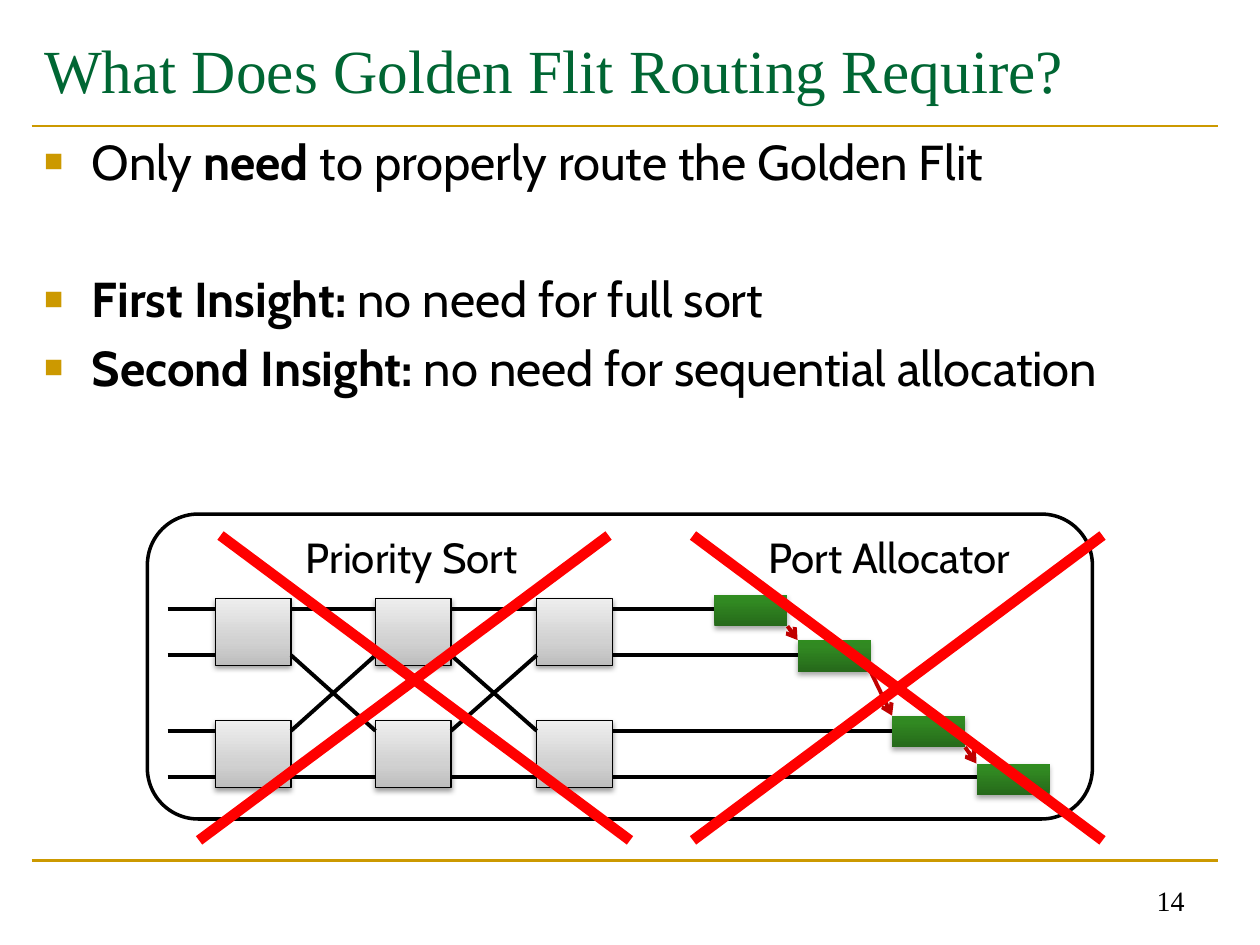
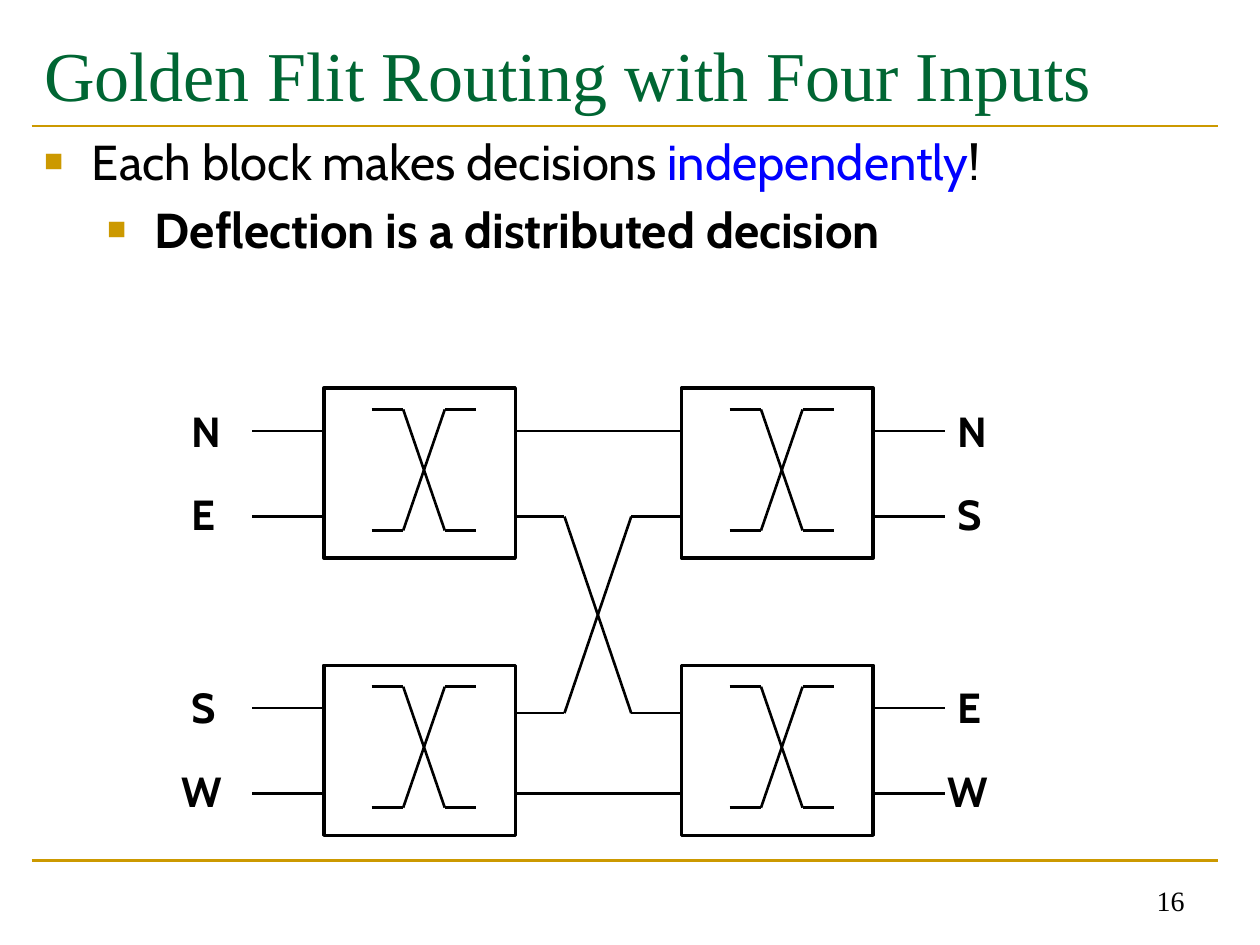
from copy import deepcopy
from itertools import pairwise, product
from typing import NamedTuple

from lxml import etree
from pptx import Presentation
from pptx import util as u
from pptx.dml.color import RGBColor
from pptx.enum import shapes, text
from pptx.oxml import ns

PX = 9144
COLORS = {
    "ink": "000000",
    "paper": "FFFFFF",
    "title": "006633",
    "gold": "CC9900",
    "accent": "0000FF",
    "arrow": "C00000",
    "cross": "FF0000",
}
TITLE_FONT = "Times New Roman"
BODY_FONT = "Cabin"


class Rect(NamedTuple):
    left: int
    top: int
    width: int
    height: int


class Span(NamedTuple):
    text: str
    bold: bool = False
    color: str = "ink"


class Bullet(NamedTuple):
    spans: list[Span]
    level: int = 0
    space_before: float = 5.5


class Finish(NamedTuple):
    stops: list[tuple[float, str]]
    outline: float
    shadow_alpha: int
    shadow_distance: float


class Port(NamedTuple):
    lane: int
    label_top: int
    source: str
    target: str


CELL = Finish([(0, "BDBDBD"), (0.35, "D1D1D1"), (1, "EEEEEE")], 0.75, 38, 1.6)
ALLOCATOR = Finish([(0, "26691A"), (0.8, "318922"), (1, "308C20")], 0, 35, 1.8)


def rgb(name: str) -> RGBColor:
    return RGBColor.from_string(COLORS[name])


def emu(rect: Rect) -> list[int]:
    return [value * PX for value in rect]


def style(font, face: str, size: float, color: str = "ink", bold: bool = False) -> None:
    font.name, font.size, font.bold = face, u.Pt(size), bold
    font.color.rgb = rgb(color)


def add_child(parent, tag: str, **attributes):
    return etree.SubElement(parent, ns.qn(tag), **attributes)


def add_line(page, start: tuple, end: tuple, width: float = 1.5,
             color: str = "ink", arrow: bool = False) -> None:
    points = [value * PX for value in (*start, *end)]
    line = page.shapes.add_connector(shapes.MSO_CONNECTOR.STRAIGHT, *points)
    line.line.width = u.Pt(width)
    line.line.color.rgb = rgb(color)
    if arrow:
        add_child(line.line._get_or_add_ln(), "a:tailEnd", type="arrow")
    add_child(line._element.spPr, "a:effectLst")


def add_frame(page, rect: Rect, kind=shapes.MSO_SHAPE.RECTANGLE) -> None:
    frame = page.shapes.add_shape(kind, *emu(rect))
    frame.shadow.inherit = False
    frame.fill.solid()
    frame.fill.fore_color.rgb = rgb("paper")
    frame.line.color.rgb = rgb("ink")
    frame.line.width = u.Pt(2)


def add_glossy(page, rect: Rect, finish: Finish) -> None:
    block = page.shapes.add_shape(shapes.MSO_SHAPE.RECTANGLE, *emu(rect))
    block.fill.gradient()
    block.fill.gradient_angle = 90
    stop_list = block._element.spPr.find(".//" + ns.qn("a:gsLst"))
    stop_list.append(deepcopy(stop_list[-1]))
    for stop, (position, color) in zip(block.fill.gradient_stops, finish.stops):
        stop.position = position
        stop.color.rgb = RGBColor.from_string(color)
    if finish.outline:
        block.line.color.rgb = rgb("ink")
        block.line.width = u.Pt(finish.outline)
    else:
        block.line.fill.background()
    block.shadow.inherit = False
    effects = block._element.spPr.find(ns.qn("a:effectLst"))
    shadow = add_child(effects, "a:outerShdw", blurRad=str(u.Pt(3.1)),
                       dist=str(u.Pt(finish.shadow_distance)), dir="5400000",
                       rotWithShape="0")
    color = add_child(shadow, "a:srgbClr", val=COLORS["ink"])
    add_child(color, "a:alpha", val=str(finish.shadow_alpha * 1000))


def add_label(page, rect: Rect, words: str, bold: bool = False) -> None:
    box = page.shapes.add_textbox(*emu(rect))
    frame = box.text_frame
    frame.text = words
    frame.word_wrap = False
    frame.auto_size = text.MSO_AUTO_SIZE.SHAPE_TO_FIT_TEXT
    style(frame.paragraphs[0].runs[0].font, BODY_FONT, 24, bold=bold)


def add_page_number(page, number: int) -> None:
    frame = page.shapes.add_textbox(*emu(Rect(717, 683, 233, 50))).text_frame
    frame.text = str(number)
    frame.word_wrap = True
    frame.vertical_anchor = text.MSO_ANCHOR.BOTTOM
    para = frame.paragraphs[0]
    para.alignment = text.PP_ALIGN.RIGHT
    style(para.runs[0].font, TITLE_FONT, 16)


def place(holder, rect: Rect, anchor):
    holder.left, holder.top, holder.width, holder.height = emu(rect)
    frame = holder.text_frame
    frame.word_wrap = True
    frame.auto_size = text.MSO_AUTO_SIZE.NONE
    frame.vertical_anchor = anchor
    return frame


def fill_bullet(para, bullet: Bullet, first: bool) -> None:
    props = para._p.get_or_add_pPr()
    props.set("marL", str((38 + 50 * bullet.level) * PX))
    props.set("indent", str(-38 * PX))
    add_child(add_child(props, "a:buClr"), "a:srgbClr", val=COLORS["gold"])
    add_child(props, "a:buSzPct", val="65000")
    add_child(props, "a:buChar", char="■")
    para.level = bullet.level
    para.space_before = u.Pt(0 if first else bullet.space_before)
    for piece in bullet.spans:
        span = para.add_run()
        span.text = piece.text
        style(span.font, BODY_FONT, 28, piece.color, piece.bold)


def start_page(deck, title: str, title_size: int, title_spacing: float,
               number: int, bullets: list[Bullet]):
    page = deck.slides.add_slide(deck.slide_layouts[1])
    frame = place(page.shapes.title, Rect(25, 17, 942, 83), text.MSO_ANCHOR.MIDDLE)
    frame.text = title
    para = frame.paragraphs[0]
    para.alignment = text.PP_ALIGN.LEFT
    para.line_spacing = title_spacing
    style(para.runs[0].font, TITLE_FONT, title_size, "title")

    body = place(page.placeholders[1], Rect(25, 99, 942, 109), text.MSO_ANCHOR.TOP)
    for index, bullet in enumerate(bullets):
        para = body.add_paragraph() if index else body.paragraphs[0]
        fill_bullet(para, bullet, index == 0)

    for rule in (100, 683):
        add_line(page, (25, rule), (967, rule), color="gold")
    add_page_number(page, number)
    return page


def add_sort_network(page) -> None:
    lanes = (483, 520, 580, 617)
    columns = (171, 298, 426)
    cell_width = 60
    for left, top in product(columns, (475, 572)):
        add_glossy(page, Rect(left, top, cell_width, 53), CELL)
    for left, following in pairwise(columns):
        for lane, next_lane in zip(lanes, (lanes[0], lanes[2], lanes[1], lanes[3])):
            add_line(page, (left + cell_width, lane), (following, next_lane), 2.25)

    allocators = [Rect(left, top, 58, 25) for left, top in
                  ((567, 472), (633, 508), (708, 568), (775, 606))]
    for allocator in allocators:
        add_glossy(page, allocator, ALLOCATOR)
    for lane, allocator in zip(lanes, allocators):
        add_line(page, (133, lane), (columns[0], lane), 2.25)
        add_line(page, (columns[-1] + cell_width, lane), (allocator.left, lane), 2.25)
    for one, other in pairwise(allocators):
        add_line(page, (one.left + one.width, one.top + one.height),
                 (other.left, other.top), 2.25, "arrow", arrow=True)


def add_crossover(page, xs: tuple, top: int, bottom: int) -> None:
    outer_left, inner_left, inner_right, outer_right = xs
    for lane, other in ((top, bottom), (bottom, top)):
        add_line(page, (outer_left, lane), (inner_left, lane))
        add_line(page, (inner_left, lane), (inner_right, other))
        add_line(page, (inner_right, lane), (outer_right, lane))


def build_requirements(deck) -> None:
    page = start_page(deck, "What Does Golden Flit Routing Require?", 35, 0.9, 14, [
        Bullet([Span("Only "), Span("need", True),
                Span(" to properly route the Golden Flit")]),
        Bullet([Span("First Insight:", True), Span(" no need for full sort")],
               space_before=45),
        Bullet([Span("Second Insight:", True),
                Span(" no need for sequential allocation")]),
    ])
    add_frame(page, Rect(117, 408, 750, 242), shapes.MSO_SHAPE.ROUNDED_RECTANGLE)
    add_sort_network(page)
    add_label(page, Rect(600, 417, 219, 50), "Port Allocator")
    add_label(page, Rect(233, 417, 203, 50), "Priority Sort")
    for falling_left, rising_left in ((175, 158), (550, 550)):
        add_line(page, (falling_left, 425), (falling_left + 325, 667), 6, "cross")
        add_line(page, (rising_left, 667), (rising_left + 325, 425), 6, "cross")


def build_four_inputs(deck) -> None:
    page = start_page(deck, "Golden Flit Routing with Four Inputs", 40, 1, 16, [
        Bullet([Span("Each block makes decisions "),
                Span("independently", color="accent"), Span("!")]),
        Bullet([Span("Deflection is a distributed decision", True)], level=1),
    ])
    for left, top in product((257, 541), (308, 528)):
        add_frame(page, Rect(left, top, 152, 135))
        add_crossover(page, (left + 38, left + 63, left + 96, left + 121),
                      top + 17, top + 113)
    add_crossover(page, (409, 448, 501, 541), 410, 566)
    for lane in (342, 630):
        add_line(page, (409, lane), (541, lane))

    widths = {"N": 46, "E": 41, "S": 42, "W": 55}
    ports = [Port(342, 317, "N", "N"), Port(410, 383, "E", "S"),
             Port(562, 536, "S", "E"), Port(630, 603, "W", "W")]
    for port in ports:
        for wire_left, label_left, letter in ((200, 142, port.source),
                                              (693, 750, port.target)):
            add_line(page, (wire_left, port.lane), (wire_left + 57, port.lane))
            left = label_left - (8 if letter == "W" else 0)
            add_label(page, Rect(left, port.label_top, widths[letter], 50), letter, True)


def main() -> None:
    deck = Presentation()
    deck.slide_width, deck.slide_height = 1000 * PX, 750 * PX
    build_requirements(deck)
    build_four_inputs(deck)
    deck.save("out.pptx")


if __name__ == "__main__":
    main()
